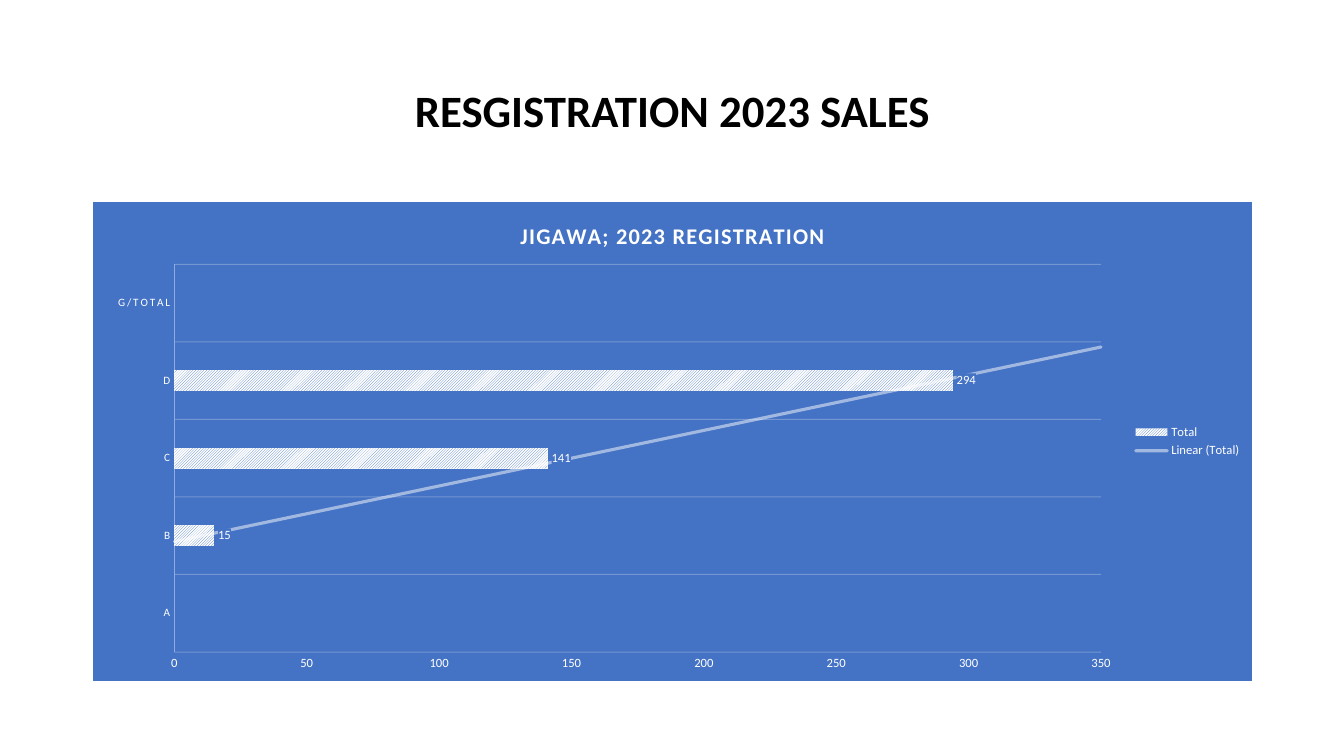
from typing import NamedTuple

from pptx import Presentation
from pptx.chart.data import CategoryChartData
from pptx.dml.color import RGBColor
from pptx.enum.chart import XL_CHART_TYPE as ChartType
from pptx.enum.chart import XL_LABEL_POSITION as LabelPosition
from pptx.enum.chart import XL_LEGEND_POSITION as LegendPosition
from pptx.enum.chart import XL_TICK_MARK as TickMark
from pptx.enum.dml import MSO_PATTERN as Pattern
from pptx.enum.text import MSO_ANCHOR as Anchor
from pptx.enum.text import PP_ALIGN as Align
from pptx.oxml import parse_xml
from pptx.oxml.ns import nsdecls
from pptx.text.text import Font
from pptx.util import Inches, Pt

WHITE, BLACK, BLUE, PALE_BLUE = "FFFFFF", "000000", "4472C4", "8FAADC"


class Registration(NamedTuple):
    group: str
    total: int | None


REGISTRATIONS = [
    Registration("A", None),
    Registration("B", 15),
    Registration("C", 141),
    Registration("D", 294),
    Registration("G/TOTAL", None),
]


def rgb(value: str) -> RGBColor:
    return RGBColor.from_string(value)


def set_font(font: Font, size: float, color: str = WHITE, bold: bool = False) -> None:
    font.name = "Calibri"
    font.size = Pt(size)
    font.bold = bold
    font.color.rgb = rgb(color)


def solid_xml(color: str, alpha: int = 100) -> str:
    return (f'<a:solidFill><a:srgbClr val="{color}">'
            f'<a:alpha val="{alpha * 1000}"/></a:srgbClr></a:solidFill>')


def add_heading(slide) -> None:
    heading = slide.shapes.title
    heading.left, heading.top = Inches(0.92), Inches(0.4)
    heading.width, heading.height = Inches(11.5), Inches(1.45)
    heading.text_frame.text = "RESGISTRATION 2023 SALES"
    heading.text_frame.vertical_anchor = Anchor.MIDDLE
    line = heading.text_frame.paragraphs[0]
    line.alignment = Align.CENTER
    line.line_spacing = 0.9
    set_font(line.font, 32, BLACK, True)


def style_axes(chart) -> None:
    groups, totals = chart.category_axis, chart.value_axis
    for axis, size in ((groups, 8), (totals, 9)):
        axis.major_tick_mark = axis.minor_tick_mark = TickMark.NONE
        set_font(axis.tick_labels.font, size)
    groups.format.line.color.rgb = rgb(PALE_BLUE)
    groups.format.line.width = Pt(0.25)
    groups.has_major_gridlines = True
    grid = groups.major_gridlines.format.line
    grid.color.rgb = rgb(WHITE)
    grid.width = Pt(0.75)
    totals.has_major_gridlines = False
    totals.format.line.fill.background()
    totals.minimum_scale, totals.maximum_scale, totals.major_unit = 0, 350, 50

    root = chart.element
    grid_color = root.xpath(".//c:catAx/c:majorGridlines//a:srgbClr")[0]
    grid_color.append(parse_xml(f'<a:alpha {nsdecls("a")} val="25000"/>'))
    root.xpath(".//c:catAx/c:txPr//a:defRPr")[0].set("spc", "120")


def style_bars(chart) -> None:
    plot = chart.plots[0]
    plot.gap_width = 269
    plot.vary_by_categories = False
    bars = plot.series[0]
    fill = bars.format.fill
    fill.patterned()
    fill.pattern = Pattern.LIGHT_UPWARD_DIAGONAL
    fill.fore_color.rgb = rgb(BLUE)
    fill.back_color.rgb = rgb(WHITE)
    labels = bars.data_labels
    labels.show_value = True
    labels.position = LabelPosition.OUTSIDE_END
    set_font(labels.font, 9)

    root = chart.element
    root.xpath(".//c:ser/c:dLbls/c:txPr")[0].addprevious(parse_xml(
        f'<c:spPr {nsdecls("c", "a")}>{solid_xml(BLUE)}</c:spPr>'))
    root.xpath(".//c:ser/c:cat")[0].addprevious(parse_xml(
        f'<c:trendline {nsdecls("c", "a")}><c:spPr><a:ln w="{Pt(2.25)}" cap="rnd">'
        f'{solid_xml(WHITE, 50)}</a:ln></c:spPr><c:trendlineType val="linear"/>'
        '<c:dispRSqr val="0"/><c:dispEq val="0"/></c:trendline>'))


def style_frame(chart) -> None:
    chart.has_title = True
    caption = chart.chart_title.text_frame
    caption.text = "JIGAWA; 2023 REGISTRATION"
    set_font(caption.paragraphs[0].font, 16, WHITE, True)
    chart.chart_title.include_in_layout = False
    chart.has_legend = True
    chart.legend.position = LegendPosition.RIGHT
    chart.legend.include_in_layout = False
    set_font(chart.legend.font, 9)

    root = chart.element
    root.xpath("./c:chart/c:title//a:defRPr")[0].set("spc", "100")
    root.xpath("./c:chart")[0].addnext(parse_xml(
        f'<c:spPr {nsdecls("c", "a")}>{solid_xml(BLUE)}'
        f'<a:ln w="{Pt(0.75)}">{solid_xml(BLUE)}</a:ln></c:spPr>'))
    plot_area = root.xpath("./c:chart/c:plotArea")[0]
    for automatic in plot_area.xpath("./c:layout"):
        plot_area.remove(automatic)
    bounds = {"x": 0.07, "y": 0.13, "w": 0.8, "h": 0.81}
    sizes = "".join(f'<c:{side} val="{share}"/>' for side, share in bounds.items())
    plot_area.insert(0, parse_xml(
        f'<c:layout {nsdecls("c")}><c:manualLayout><c:layoutTarget val="inner"/>'
        f'<c:xMode val="edge"/><c:yMode val="edge"/>{sizes}'
        '</c:manualLayout></c:layout>'))


def add_registration_chart(slide) -> None:
    data = CategoryChartData()
    data.categories = [entry.group for entry in REGISTRATIONS]
    data.add_series("Total", [entry.total for entry in REGISTRATIONS])
    chart = slide.shapes.add_chart(
        ChartType.BAR_CLUSTERED, Inches(0.92), Inches(2),
        Inches(11.5), Inches(4.76), data).chart
    set_font(chart.font, 10, BLACK)
    style_axes(chart)
    style_bars(chart)
    style_frame(chart)


def main() -> None:
    deck = Presentation()
    deck.slide_width, deck.slide_height = Inches(13.33), Inches(7.5)
    slide = deck.slides.add_slide(deck.slide_layouts[5])
    add_heading(slide)
    add_registration_chart(slide)
    deck.save("out.pptx")


if __name__ == "__main__":
    main()
